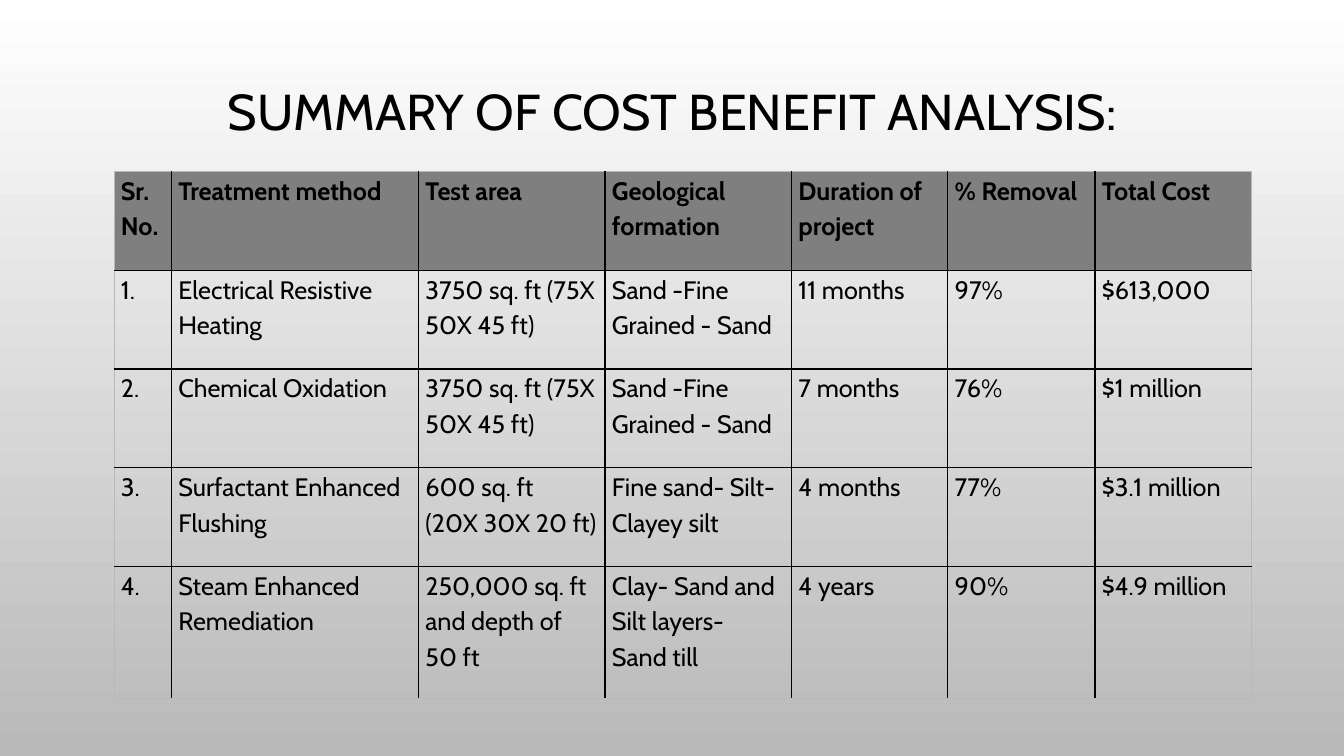
from dataclasses import dataclass

from lxml.etree import SubElement
from pptx import Presentation
from pptx.dml.color import RGBColor
from pptx.enum.text import MSO_ANCHOR, MSO_AUTO_SIZE, PP_ALIGN
from pptx.oxml.ns import qn
from pptx.util import Inches, Pt


@dataclass(frozen=True)
class Theme:
    font: str = "Cabin"
    title_size: int = 36
    cell_size: int = 18
    ink: str = "000000"
    header: str = "7F7F7F"
    edge: str = "B9B9B9"
    bg_top: str = "FFFFFF"
    bg_bottom: str = "B9B9B9"


def write(tf, text, font, size, color, bold=False, align=PP_ALIGN.LEFT, spacing=1.0):
    """Fill a text frame, one paragraph for each line of text."""
    for i, line in enumerate(text.split("\n")):
        p = tf.paragraphs[0] if i == 0 else tf.add_paragraph()
        p.alignment, p.line_spacing = align, spacing
        r = p.add_run()
        r.text = line
        r.font.name, r.font.size, r.font.bold = font, Pt(size), bold
        r.font.color.rgb = RGBColor.from_string(color)


def set_borders(cell, borders):
    """Draw the cell borders, given as tag: (colour, width in points)."""
    tc_pr = cell._tc.get_or_add_tcPr()
    for tag in ("lnL", "lnR", "lnT", "lnB"):
        color, width = borders[tag]
        ln = SubElement(tc_pr, qn(f"a:{tag}"), w=str(Pt(width)))
        fill = SubElement(ln, qn("a:solidFill"))
        SubElement(fill, qn("a:srgbClr"), val=color)


class SlideBuilder:
    def __init__(self, prs, theme):
        self.theme = theme
        self.s = prs.slides.add_slide(prs.slide_layouts[5])

    def background(self):
        fill = self.s.background.fill
        fill.gradient()
        fill.gradient_angle = 270
        colors = (self.theme.bg_top, self.theme.bg_bottom)
        for i, (stop, color) in enumerate(zip(fill.gradient_stops, colors)):
            stop.position = i
            stop.color.rgb = RGBColor.from_string(color)

    def title(self, text, left, top, width, height):
        sp = self.s.shapes.title
        sp.left, sp.top = Inches(left), Inches(top)
        sp.width, sp.height = Inches(width), Inches(height)
        tf = sp.text_frame
        tf.word_wrap, tf.auto_size = True, MSO_AUTO_SIZE.NONE
        tf.vertical_anchor = MSO_ANCHOR.MIDDLE
        write(tf, text, self.theme.font, self.theme.title_size, self.theme.ink,
              align=PP_ALIGN.CENTER, spacing=0.9)

    def table(self, rows, left, top, widths, heights):
        table = self.s.shapes.add_table(
            len(rows), len(widths), Inches(left), Inches(top),
            Inches(sum(widths)), Inches(sum(heights))).table
        table.first_row = table.horz_banding = False
        for column, width in zip(table.columns, widths):
            column.width = Inches(width)
        for row, height in zip(table.rows, heights):
            row.height = Inches(height)
        for i, texts in enumerate(rows):
            for j, text in enumerate(texts):
                self.cell(table.cell(i, j), text, header=i == 0, outer={
                    "lnL": j == 0, "lnR": j == len(widths) - 1,
                    "lnT": i == 0, "lnB": i == len(rows) - 1})

    def cell(self, cell, text, header, outer):
        t = self.theme
        cell.margin_left = cell.margin_right = Inches(0.07)
        cell.margin_top = cell.margin_bottom = 0
        set_borders(cell, {tag: (t.edge, 0.5) if is_outer else (t.ink, 1)
                           for tag, is_outer in outer.items()})
        if header:
            cell.fill.solid()
            cell.fill.fore_color.rgb = RGBColor.from_string(t.header)
        else:
            cell.fill.background()
        write(cell.text_frame, text, t.font, t.cell_size, t.ink,
              bold=header, spacing=1.15)


ROWS = [
    ("Sr. No.", "Treatment method", "Test area", "Geological formation",
     "Duration of project", "% Removal", "Total Cost"),
    ("1.", "Electrical Resistive Heating", "3750 sq. ft (75X 50X 45 ft)",
     "Sand -Fine Grained - Sand", "11 months", "97%", "$613,000"),
    ("2.", "Chemical Oxidation", "3750 sq. ft (75X 50X 45 ft)",
     "Sand -Fine Grained - Sand", "7 months", "76%", "$1 million"),
    ("3.", "Surfactant Enhanced Flushing", "600 sq. ft\n(20X 30X 20 ft)",
     "Fine sand- Silt- Clayey silt", "4 months", "77%", "$3.1 million"),
    ("4.", "Steam Enhanced Remediation", "250,000 sq. ft and depth of 50 ft",
     "Clay- Sand and Silt layers- Sand till", "4 years", "90%", "$4.9 million"),
]


def main():
    prs = Presentation()
    prs.slide_width, prs.slide_height = Inches(13.33), Inches(7.5)
    slide = SlideBuilder(prs, Theme())

    # Background and title
    slide.background()
    slide.title("SUMMARY OF COST BENEFIT ANALYSIS:", 1, 0.26, 11.33, 1.75)

    # Comparison of the treatment methods
    slide.table(ROWS, 1.13, 1.7,
                widths=[0.57, 2.45, 1.85, 1.85, 1.55, 1.46, 1.55],
                heights=[0.98] * 4 + [1.31])

    prs.save("out.pptx")


if __name__ == "__main__":
    main()
